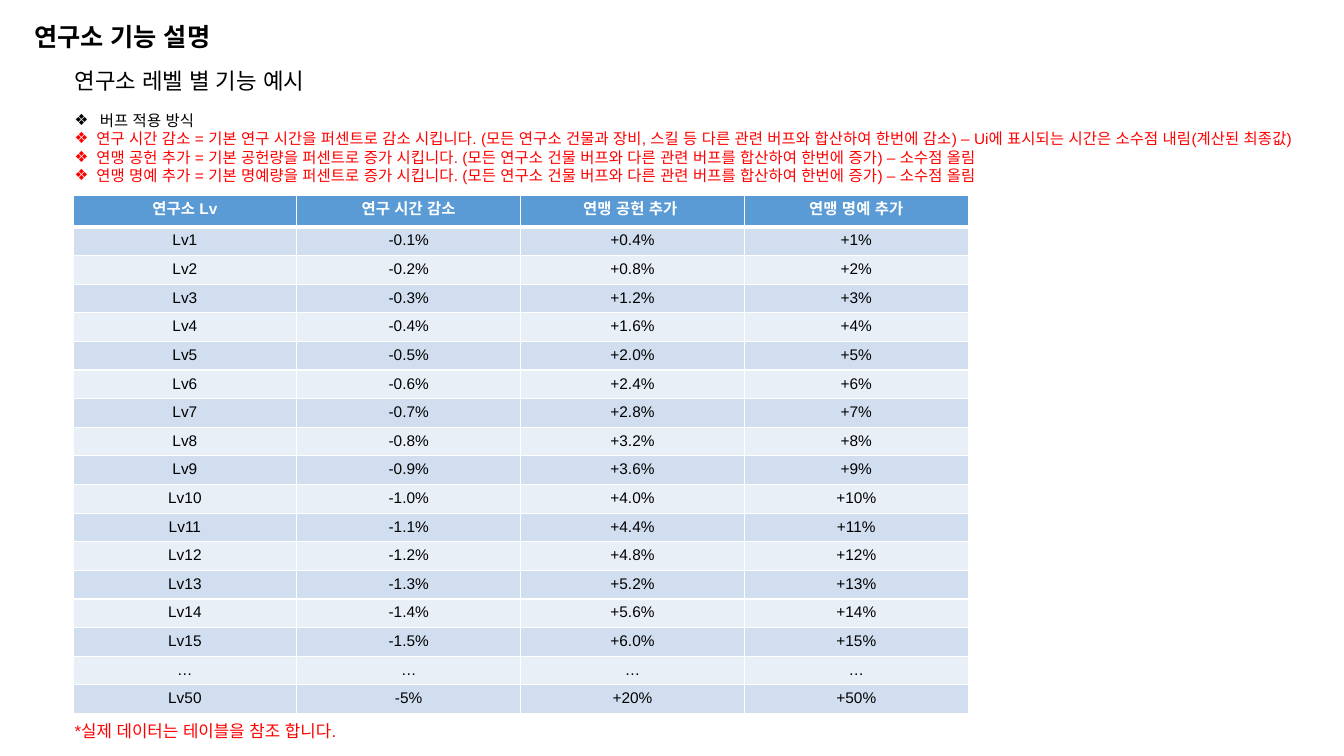
import pptx
import pptx.dml.color
import pptx.enum.lang
import pptx.enum.text
import pptx.oxml
import pptx.oxml.ns
import pptx.util
from lxml import etree
from pptx.util import Cm

FONT = "Arial"
BLACK, WHITE, RED = "000000", "FFFFFF", "FF0000"
HEADER_FILL, BANDS = "5B9BD5", ("D0DEEF", "E9EFF7")
LEFT = 1.63

HEADERS = ["연구소 Lv", "연구 시간 감소", "연맹 공헌 추가 ", "연맹 명예 추가"]
METHOD = "버프 적용 방식"
RULES = [
    "연구 시간 감소 = 기본 연구 시간을 퍼센트로 감소 시킵니다. (모든 연구소 건물과 장비, 스킬 등 다른 관련 버프와 합산하여 "
    "한번에 감소) – Ui에 표시되는 시간은 소수점 내림(계산된 최종값)",
    "연맹 공헌 추가 = 기본 공헌량을 퍼센트로 증가 시킵니다. (모든 연구소 건물 버프와 다른 관련 버프를 합산하여 한번에 증가) – 소수점 올림",
    "연맹 명예 추가 = 기본 명예량을 퍼센트로 증가 시킵니다. (모든 연구소 건물 버프와 다른 관련 버프를 합산하여 한번에 증가) – 소수점 올림",
]


def rgb(color):
    """Return the colour for a hex string."""
    return pptx.dml.color.RGBColor.from_string(color)


def add_child(parent, tag, **attributes):
    """Append a DrawingML element to a parent and return it."""
    return etree.SubElement(parent, pptx.oxml.ns.qn(tag), **attributes)


def write(p, text, size=11, color=BLACK, bold=False, center=False):
    """Add one formatted run of text to a paragraph."""
    if center:
        p.alignment = pptx.enum.text.PP_ALIGN.CENTER
    r = p.add_run()
    r.text = text
    r.font.size = pptx.util.Pt(size)
    r.font.bold = bold
    r.font.name = FONT
    r.font.color.rgb = rgb(color)
    r.font.language_id = pptx.enum.lang.MSO_LANGUAGE_ID.KOREAN
    add_child(r.font._element, "a:ea", typeface=FONT)


def add_box(s, left, top, width, height):
    """Add a wrapping text box and return its text frame."""
    tf = s.shapes.add_textbox(Cm(left), Cm(top), Cm(width), Cm(height)).text_frame
    tf.word_wrap = True
    return tf


def add_label(s, left, top, width, height, text, **style):
    """Add a text box that holds a single line."""
    write(add_box(s, left, top, width, height).paragraphs[0], text, **style)


def set_bullet(p, indent, color):
    """Give a paragraph a hanging diamond bullet."""
    pPr = p._p.get_or_add_pPr()
    pPr.set("marL", str(Cm(indent)))
    pPr.set("indent", str(-Cm(indent)))
    add_child(add_child(pPr, "a:buClr"), "a:srgbClr", val=color)
    add_child(pPr, "a:buFont", typeface=FONT)
    add_child(pPr, "a:buChar", char="❖")


def add_rules(s):
    """Add the bulleted list of buff rules."""
    tf = add_box(s, LEFT, 2.67, 34.19, 2.13)
    p = tf.paragraphs[0]
    set_bullet(p, 0.64, BLACK)
    write(p, METHOD)
    for rule in RULES:
        p = tf.add_paragraph()
        set_bullet(p, 0.55, RED)
        write(p, rule, color=RED)


def set_borders(cell, top, bottom):
    """Draw white borders round a cell, with widths in points."""
    tcPr = cell._tc.get_or_add_tcPr()
    for side, width in (("L", 1), ("R", 1), ("T", top), ("B", bottom)):
        ln = add_child(tcPr, "a:ln" + side, w=str(pptx.util.Pt(width)))
        add_child(add_child(ln, "a:solidFill"), "a:srgbClr", val=WHITE)


def level_rows():
    """Return the table rows for every level shown."""
    rows = [[f"Lv{n}", f"-{n * 0.1:.1f}%", f"+{n * 0.4:.1f}%", f"+{n}%"] for n in range(1, 16)]
    return rows + [["…"] * 4, ["Lv50", "-5%", "+20%", "+50%"]]


def add_level_table(s):
    """Add the table of buffs by laboratory level."""
    rows = [HEADERS] + level_rows()
    heights = [0.79] + [0.69] * (len(rows) - 1)
    frame = s.shapes.add_table(len(rows), len(HEADERS), Cm(1.84), Cm(4.93), Cm(22.56), Cm(sum(heights)))
    table = frame.table
    table.first_row = table.horz_banding = False
    for column in table.columns:
        column.width = Cm(5.64)
    for i, values in enumerate(rows):
        header = i == 0
        table.rows[i].height = Cm(heights[i])
        for j, text in enumerate(values):
            cell = table.cell(i, j)
            set_borders(cell, top=3 if i == 1 else 1, bottom=3 if header else 1)
            cell.fill.solid()
            cell.fill.fore_color.rgb = rgb(HEADER_FILL if header else BANDS[(i - 1) % 2])
            write(cell.text_frame.paragraphs[0], text, color=WHITE if header else BLACK,
                  bold=header, center=True)


def main():
    """Build the slide and save it."""
    prs = pptx.Presentation()
    prs.slide_width, prs.slide_height = Cm(33.87), Cm(19.05)
    s = prs.slides.add_slide(prs.slide_layouts[6])
    add_label(s, 0.61, 0.41, 5.46, 1.02, "연구소 기능 설명", size=18, bold=True)
    add_level_table(s)
    add_label(s, LEFT, 18.03, 7.8, 0.76, "*실제 데이터는 테이블을 참조 합니다.", size=12, color=RED)
    add_label(s, LEFT, 1.57, 7.01, 0.94, "연구소 레벨 별 기능 예시", size=16)
    add_rules(s)
    prs.save("out.pptx")


if __name__ == "__main__":
    main()
